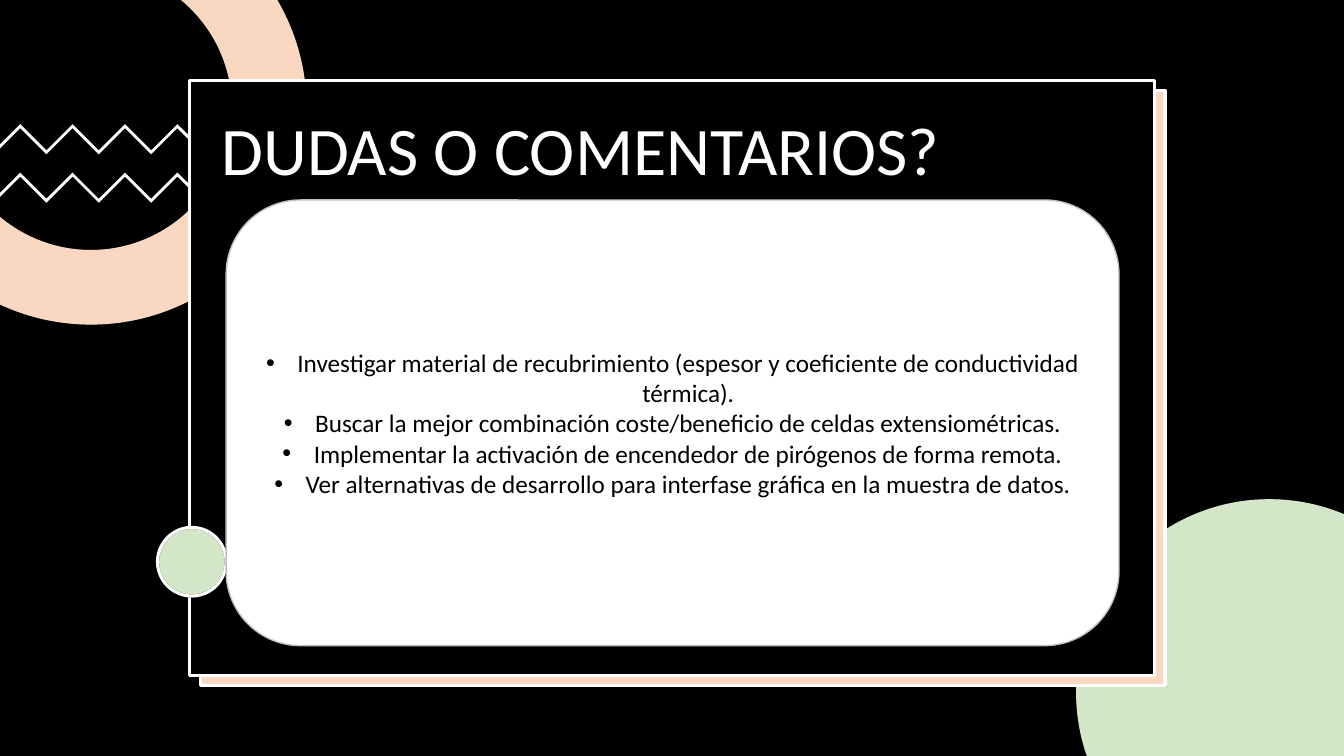
import math

from lxml import etree
from pptx import Presentation
from pptx.dml.color import RGBColor
from pptx.enum.shapes import MSO_SHAPE
from pptx.enum.text import MSO_ANCHOR, PP_ALIGN
from pptx.oxml.ns import qn
from pptx.util import Cm, Pt

RECT, OVAL, ROUNDED = MSO_SHAPE.RECTANGLE, MSO_SHAPE.OVAL, MSO_SHAPE.ROUNDED_RECTANGLE
CENTER = PP_ALIGN.CENTER
BOTTOM, MIDDLE = MSO_ANCHOR.BOTTOM, MSO_ANCHOR.MIDDLE

BLACK = RGBColor(0x00, 0x00, 0x00)
WHITE = RGBColor(0xFF, 0xFF, 0xFF)
GRAY = RGBColor(0xBF, 0xBF, 0xBF)
ORANGE = RGBColor(0xED, 0x7D, 0x31)
GREEN = RGBColor(0x70, 0xAD, 0x47)

FONT = "Calibri"
WIDTH, HEIGHT = 33.87, 19.05  # slide size in cm
TINT_PERCENT = 30

TITLE = "DUDAS O COMENTARIOS? "
COMMENTS = [
    "Investigar material de recubrimiento (espesor y coeficiente de conductividad térmica).",
    "Buscar la mejor combinación coste/beneficio de celdas extensiométricas.",
    "Implementar la activación de encendedor de pirógenos de forma remota.",
    "Ver alternativas de desarrollo para interfase gráfica en la muestra de datos.",
]


def style(s, fill, line=None, weight=2.25, opacity=100):
    s.shadow.inherit = False
    s.fill.solid()
    s.fill.fore_color.rgb = fill
    if opacity < 100:
        color = s.fill._xPr.find(qn("a:solidFill"))[0]
        etree.SubElement(color, qn("a:alpha")).set("val", str(opacity * 1000))
    if line is None:
        s.line.fill.background()
    else:
        s.line.color.rgb = line
        s.line.width = Pt(weight)


def add_preset(slide, kind, box, fill, line=None, **options):
    s = slide.shapes.add_shape(kind, *[Cm(v) for v in box])
    style(s, fill, line, **options)
    return s


def add_outline(slide, segments, fill, **options):
    """Segments hold one point for a straight line or three for a curve."""
    points = [(Cm(x), Cm(y)) for segment in segments for x, y in segment]
    builder = slide.shapes.build_freeform(*points[0])
    builder.add_line_segments(points[1:], close=True)
    s = builder.convert_to_shape()
    nodes = iter(list(s._element.iter(qn("a:lnTo"))))
    for segment in segments[1:]:
        node = next(nodes)
        if len(segment) == 3:
            node.tag = qn("a:cubicBezTo")
            for _ in range(2):
                extra = next(nodes)
                node.append(extra[0])
                extra.getparent().remove(extra)
    style(s, fill, **options)


def add_tinted_preset(slide, kind, box, tint):
    """White base under a translucent tint."""
    add_preset(slide, kind, box, WHITE, BLACK)
    add_preset(slide, kind, box, tint, WHITE, opacity=TINT_PERCENT)


def add_tinted_outline(slide, segments, tint):
    add_outline(slide, segments, WHITE)
    add_outline(slide, segments, tint, opacity=TINT_PERCENT)


def arc(cx, cy, radius, *angles):
    """Start point, then one curve between each two angles in degrees."""
    def at(angle, pull=0):
        c, s = math.cos(angle), math.sin(angle)
        return cx + radius * (c - pull * s), cy + radius * (s + pull * c)

    angles = [math.radians(a) for a in angles]
    segments = [[at(angles[0])]]
    for a, b in zip(angles, angles[1:]):
        pull = 4 / 3 * math.tan((b - a) / 4)
        segments.append([at(a, pull), at(b, -pull), at(b)])
    return segments


def ring(cx, cy, outer, inner):
    """Ring cut off by the top and left slide edges."""
    def cuts(radius):
        return -math.degrees(math.asin(cy / radius)), math.degrees(math.acos(-cx / radius))

    top, left = cuts(outer)
    inner_top, inner_left = cuts(inner)
    return (arc(cx, cy, outer, top, 0, 90, left)
            + arc(cx, cy, inner, inner_left, 90, 0, inner_top))


def disc(cx, cy, radius):
    """Disc cut off by the bottom and right slide edges."""
    start = 180 - math.degrees(math.asin((HEIGHT - cy) / radius))
    end = 360 - math.degrees(math.acos((WIDTH - cx) / radius))
    return arc(cx, cy, radius, start, 180, 270, end) + [[(WIDTH, HEIGHT)]]


def zigzag(top, step=0.66, thickness=0.1):
    crest = [(0.51 + step * i, top + step * (i % 2)) for i in range(7)]
    under = [(x, y + thickness) for x, y in reversed(crest)]
    tip = [(5.18, top + 0.69), (5.11, top + 0.74)]
    ends = [(0, top + 0.61), (0, top + 0.51)]
    return [[point] for point in crest + tip + under + ends]


def format_run(p, size, color):
    font = p.runs[0].font
    font.name = FONT
    font.size = Pt(size)
    font.color.rgb = color


def add_title(slide, box):
    tf = slide.shapes.add_textbox(*[Cm(v) for v in box]).text_frame
    tf.word_wrap = True
    tf.vertical_anchor = BOTTOM
    p = tf.paragraphs[0]
    p.text = TITLE
    p.alignment = CENTER
    p.line_spacing = 0.9
    format_run(p, 48.6, WHITE)


def add_comments(slide, box):
    tf = add_preset(slide, ROUNDED, box, WHITE, GRAY, weight=1).text_frame
    tf.word_wrap = True
    tf.vertical_anchor = MIDDLE
    tf.text = "\n".join(COMMENTS)
    for p in tf.paragraphs:
        p.alignment = CENTER
        pPr = p._p.get_or_add_pPr()
        pPr.set("marL", str(Cm(0.79)))
        pPr.set("indent", str(-Cm(0.79)))
        etree.SubElement(pPr, qn("a:buFont")).set("typeface", "Arial")
        etree.SubElement(pPr, qn("a:buChar")).set("char", "•")
        format_run(p, 18, BLACK)


def main():
    prs = Presentation()
    prs.slide_width, prs.slide_height = Cm(WIDTH), Cm(HEIGHT)
    slide = prs.slides.add_slide(prs.slide_layouts[6])

    # Background decoration
    add_preset(slide, RECT, (0, 0, WIDTH, HEIGHT), BLACK)
    for top in (3.13, 4.35):
        add_outline(slide, zigzag(top), WHITE)
    add_tinted_outline(slide, ring(2.29, 2.74, 5.44, 3.56), ORANGE)
    add_tinted_outline(slide, disc(31.99, 17.45, 4.87), GREEN)

    # Framed panel with an offset backing
    panel_size = (24.31, 15)
    add_tinted_preset(slide, RECT, (5.05, 2.28, *panel_size), ORANGE)
    add_preset(slide, RECT, (4.78, 2.02, *panel_size), BLACK, WHITE)

    # Title, accent dot and comments
    add_title(slide, (5.18, 2.51, 18.9, 2.41))
    add_tinted_preset(slide, OVAL, (3.97, 13.29, 1.73, 1.73), GREEN)
    add_comments(slide, (5.7, 5.04, 22.5, 11.23))

    prs.save("out.pptx")


if __name__ == "__main__":
    main()
